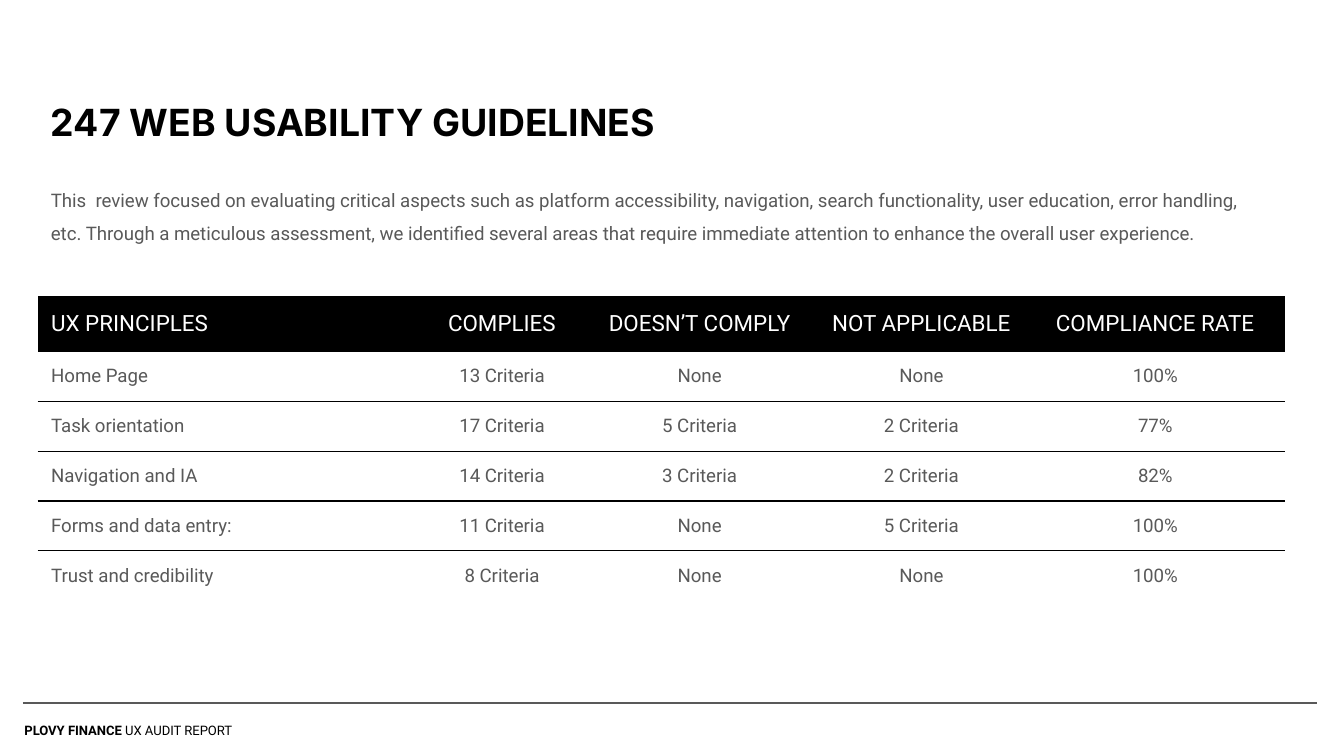
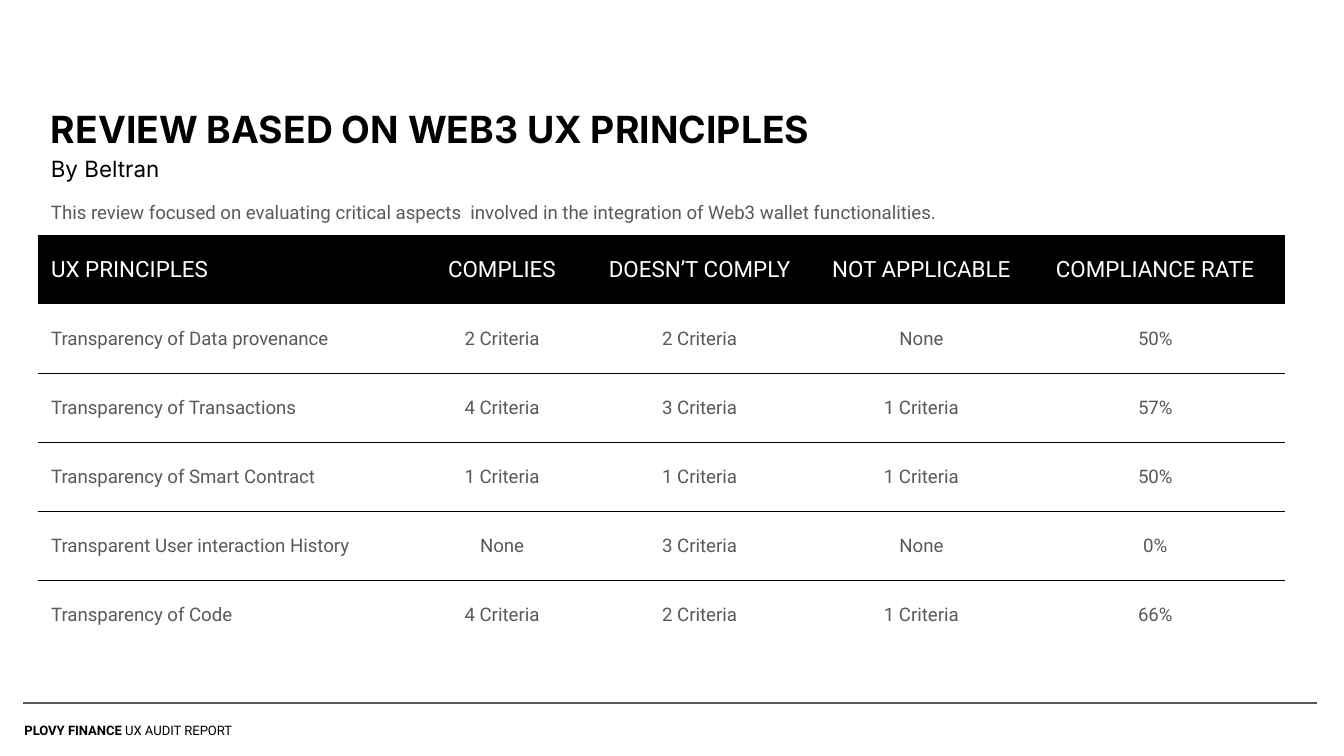
from dataclasses import dataclass

from lxml.etree import SubElement
from pptx import Presentation
from pptx.dml.color import RGBColor
from pptx.enum.shapes import MSO_CONNECTOR
from pptx.enum.text import MSO_ANCHOR, MSO_AUTO_SIZE, PP_ALIGN
from pptx.oxml.ns import qn
from pptx.slide import Slide
from pptx.table import _Cell
from pptx.text.text import TextFrame, _Paragraph
from pptx.util import Pt

BLACK = RGBColor(0x00, 0x00, 0x00)
WHITE = RGBColor(0xFF, 0xFF, 0xFF)
GRAY = RGBColor(0x59, 0x59, 0x59)

TITLE_FONT = "Inter"
BODY_FONT = "Roboto"
LEFT = 20.2
TITLE_TOP = 46.1
RULE_WIDTH = 0.75
INSET = 7.2
FOOTER_TOP = 376.6

COLUMN_WIDTHS = (205.9, 85.7, 126, 111.6, 139)
HEADINGS = ("UX PRINCIPLES", "COMPLIES", "DOESN’T COMPLY", "NOT APPLICABLE", "COMPLIANCE RATE")


@dataclass(frozen=True)
class Box:
    left: float
    top: float
    width: float
    height: float


@dataclass(frozen=True)
class Review:
    """One audit slide: title, introduction and compliance table."""
    title: str
    title_height: float
    intro: str
    intro_box: Box
    table_top: float
    header_height: float
    row_height: float
    rows: tuple[tuple[str, ...], ...]
    subtitle: str = ""


REVIEWS = (
    Review(
        title="247 WEB USABILITY GUIDELINES",
        title_height=38.9,
        intro="This  review focused on evaluating critical aspects such as platform accessibility, "
              "navigation, search functionality, user education, error handling, etc. Through a "
              "meticulous assessment, we identified several areas that require immediate attention "
              "to enhance the overall user experience.",
        intro_box=Box(LEFT, 87.8, 667.4, 44.6),
        table_top=158.4,
        header_height=30,
        row_height=26.7,
        rows=(
            ("Home Page", "13 Criteria", "None", "None", "100%"),
            ("Task orientation", "17 Criteria", "5 Criteria", "2 Criteria", "77%"),
            ("Navigation and IA", "14 Criteria", "3 Criteria", "2 Criteria", "82%"),
            ("Forms and data entry:", "11 Criteria", "None", "5 Criteria", "100%"),
            ("Trust and credibility", "8 Criteria", "None", "None", "100%"),
        ),
    ),
    Review(
        title="REVIEW BASED ON WEB3 UX PRINCIPLES",
        subtitle="By Beltran",
        title_height=56.9,
        intro="This review focused on evaluating critical aspects  involved in the integration "
              "of Web3 wallet functionalities.",
        intro_box=Box(LEFT, 94.3, 656.6, 26.6),
        table_top=126,
        header_height=37,
        row_height=37,
        rows=(
            ("Transparency of Data provenance", "2 Criteria", "2 Criteria", "None", "50%"),
            ("Transparency of Transactions", "4 Criteria", "3 Criteria", "1 Criteria", "57%"),
            ("Transparency of Smart Contract", "1 Criteria", "1 Criteria", "1 Criteria", "50%"),
            ("Transparent User interaction History", "None", "3 Criteria", "None", "0%"),
            ("Transparency of Code", "4 Criteria", "2 Criteria", "1 Criteria", "66%"),
        ),
    ),
)


def style(p: _Paragraph, name: str, size: float, color: RGBColor, bold: bool = False) -> None:
    p.font.name = name
    p.font.size = Pt(size)
    p.font.color.rgb = color
    p.font.bold = bold


def add_text_frame(slide: Slide, box: Box) -> TextFrame:
    sp = slide.shapes.add_textbox(Pt(box.left), Pt(box.top), Pt(box.width), Pt(box.height))
    tf = sp.text_frame
    tf.word_wrap = True
    tf.auto_size = MSO_AUTO_SIZE.SHAPE_TO_FIT_TEXT
    tf.margin_left = tf.margin_right = tf.margin_top = tf.margin_bottom = Pt(INSET)
    return tf


def add_footer(slide: Slide) -> None:
    p = add_text_frame(slide, Box(6, FOOTER_TOP, 149, 23)).paragraphs[0]
    p.line_spacing = 1.5
    style(p, BODY_FONT, 7, BLACK)
    client = p.add_run()
    client.text = "PLOVY FINANCE"
    client.font.bold = True
    p.add_run().text = " UX AUDIT REPORT"

    rule = slide.shapes.add_connector(
        MSO_CONNECTOR.STRAIGHT, Pt(12.2), Pt(FOOTER_TOP), Pt(705.6), Pt(FOOTER_TOP))
    rule.line.color.rgb = GRAY
    rule.line.width = Pt(RULE_WIDTH)
    SubElement(rule._element.spPr, qn("a:effectLst"))


def add_title(slide: Slide, review: Review) -> None:
    tf = add_text_frame(slide, Box(LEFT, TITLE_TOP, 650.2, review.title_height))
    p = tf.paragraphs[0]
    p.text = review.title
    style(p, TITLE_FONT, 20, BLACK, bold=True)
    if review.subtitle:
        p.line_spacing = 1.15
        p = tf.add_paragraph()
        p.text = review.subtitle
        p.line_spacing = 1.15
        style(p, TITLE_FONT, 12, BLACK)


def add_intro(slide: Slide, review: Review) -> None:
    p = add_text_frame(slide, review.intro_box).paragraphs[0]
    p.text = review.intro
    p.line_spacing = 1.5
    style(p, BODY_FONT, 10, GRAY)


def set_borders(cell: _Cell, ruled: str) -> None:
    """Rule the sides named in ruled (such as "TB") and clear the others."""
    tc_pr = cell._tc.get_or_add_tcPr()
    for side in "LRTB":
        ln = SubElement(tc_pr, qn(f"a:ln{side}"), w=str(Pt(RULE_WIDTH)))
        if side in ruled:
            fill = SubElement(ln, qn("a:solidFill"))
            SubElement(fill, qn("a:srgbClr"), val=str(BLACK))
        else:
            SubElement(ln, qn("a:noFill"))


def fill_cell(cell: _Cell, text: str, is_header: bool, is_first_column: bool, ruled: str) -> None:
    set_borders(cell, ruled)
    cell.vertical_anchor = MSO_ANCHOR.MIDDLE
    cell.margin_left = cell.margin_right = Pt(INSET if is_header or is_first_column else 0)
    cell.margin_top = cell.margin_bottom = Pt(5 if is_header else 0)
    p = cell.text_frame.paragraphs[0]
    p.text = text
    p.alignment = PP_ALIGN.LEFT if is_first_column else PP_ALIGN.CENTER
    if is_header:
        cell.fill.solid()
        cell.fill.fore_color.rgb = BLACK
        style(p, BODY_FONT, 12, WHITE)
    else:
        cell.fill.background()
        style(p, BODY_FONT, 10, GRAY)


def add_compliance_table(slide: Slide, review: Review) -> None:
    rows = (HEADINGS, *review.rows)
    last = len(rows) - 1
    height = review.header_height + last * review.row_height
    table = slide.shapes.add_table(
        len(rows), len(HEADINGS), Pt(LEFT), Pt(review.table_top),
        Pt(sum(COLUMN_WIDTHS)), Pt(height)).table
    table.first_row = table.horz_banding = False
    for column, width in zip(table.columns, COLUMN_WIDTHS):
        column.width = Pt(width)
    for i, texts in enumerate(rows):
        table.rows[i].height = Pt(review.row_height if i else review.header_height)
        ruled = ("T" if i > 1 else "") + ("B" if 0 < i < last else "")
        for j, text in enumerate(texts):
            fill_cell(table.cell(i, j), text, i == 0, j == 0, ruled)


def main() -> None:
    prs = Presentation()
    prs.slide_width, prs.slide_height = Pt(720), Pt(405)
    for review in REVIEWS:
        slide = prs.slides.add_slide(prs.slide_layouts[6])
        add_footer(slide)
        add_title(slide, review)
        add_compliance_table(slide, review)
        add_intro(slide, review)
    prs.save("out.pptx")


if __name__ == "__main__":
    main()
